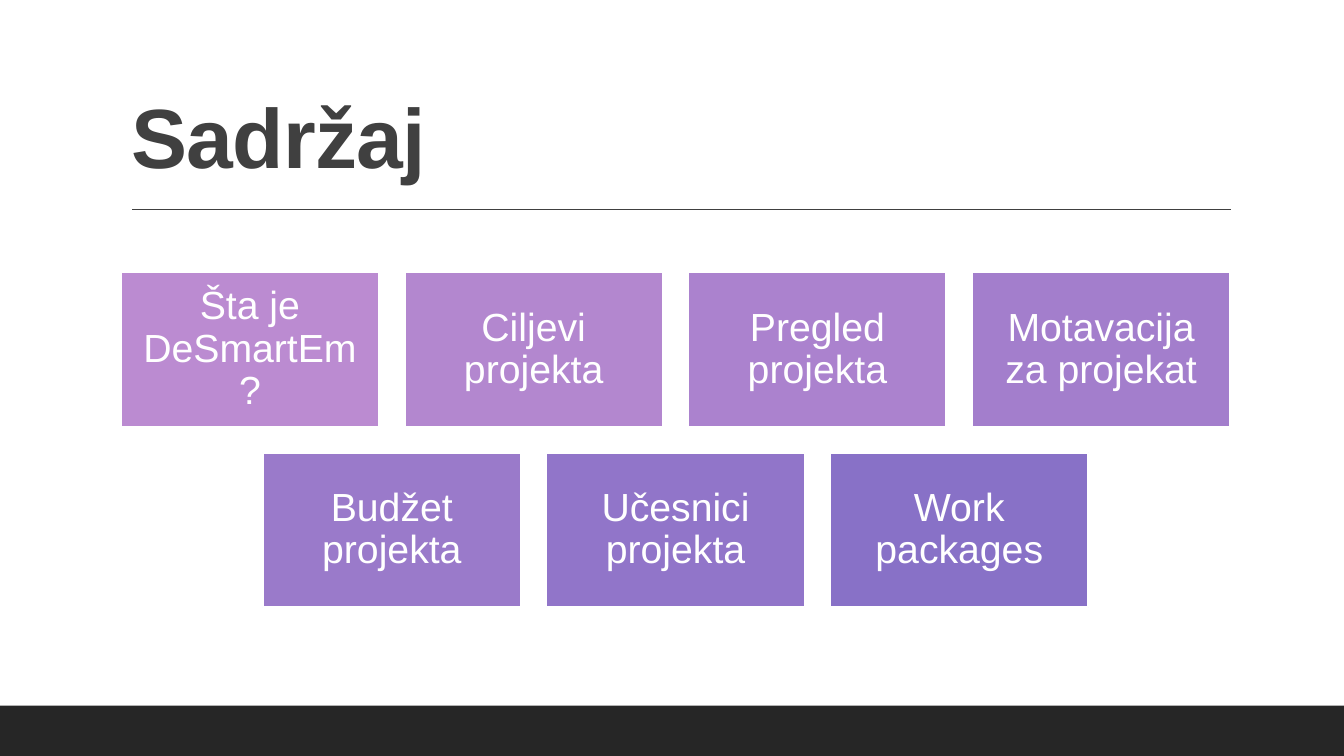
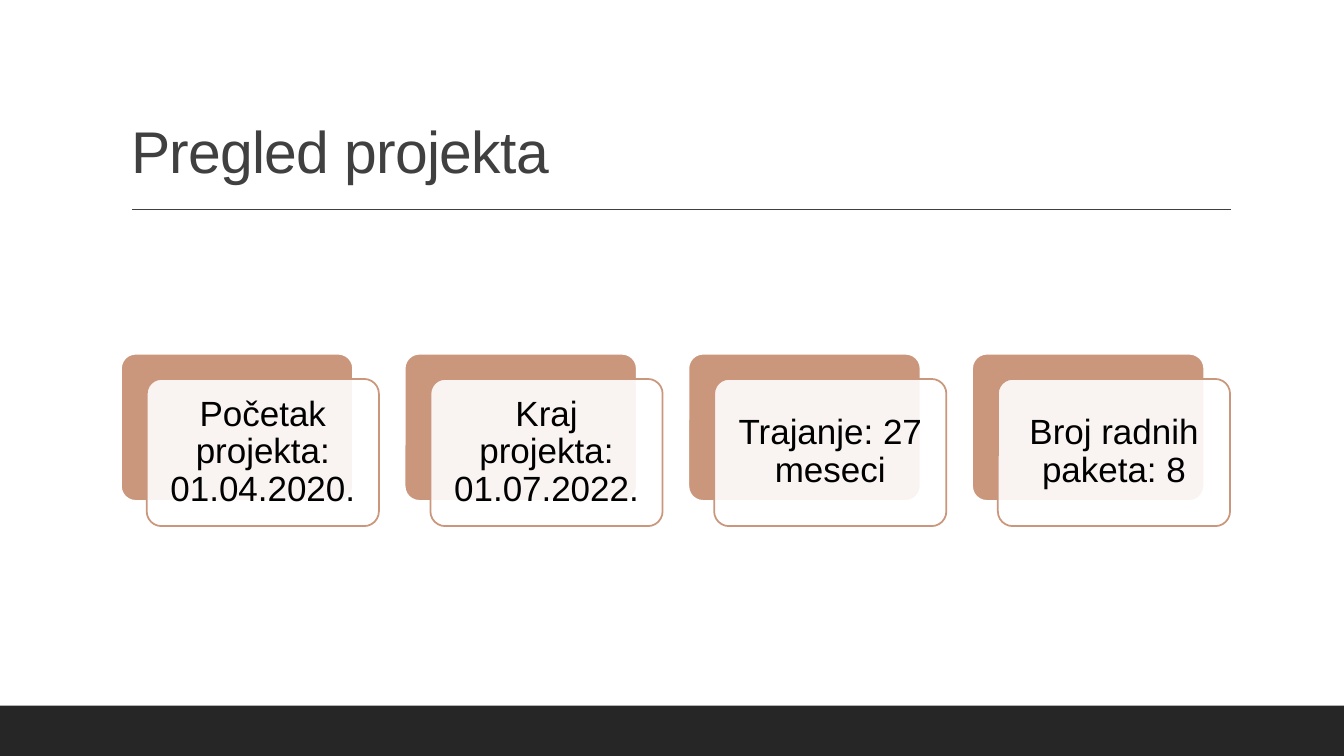
from dataclasses import dataclass

from lxml.etree import SubElement
from pptx import Presentation
from pptx.dml.color import RGBColor
from pptx.enum.shapes import MSO_CONNECTOR as Connector, MSO_SHAPE as Preset
from pptx.enum.text import MSO_ANCHOR as Anchor, PP_ALIGN as Align
from pptx.oxml.ns import qn
from pptx.util import Inches, Pt


@dataclass(frozen=True)
class Theme:
    font: str = "Arial"
    dark: str = "404040"
    band: str = "262626"
    white: str = "FFFFFF"
    black: str = "000000"
    clay: str = "CB977C"
    purples: tuple[str, ...] = (
        "BB8BD1", "B387CF", "AB82CE", "A37ECC", "9A7ACA", "9175C9", "8871C7",
    )
    agenda_title_size: int = 60
    title_size: int = 42
    tile_size: int = 28
    card_size: int = 25
    outline: float = 1.25


@dataclass(frozen=True)
class Box:
    left: float
    top: float
    width: float
    height: float

    def emu(self) -> tuple[int, ...]:
        return tuple(Inches(v) for v in (self.left, self.top, self.width, self.height))


@dataclass(frozen=True)
class Style:
    fill: str
    line: str | None = None
    preset: Preset = Preset.RECTANGLE
    opacity: int = 100


@dataclass(frozen=True)
class Label:
    text: str
    size: int
    color: str
    inset: float


THEME = Theme()
SLIDE_WIDTH, SLIDE_HEIGHT = 13.33, 7.5
TITLE_ONLY = 5

# Four columns fill the content width; gaps are a tenth of a column
CONTENT_LEFT, CONTENT_WIDTH = 1.2, 11
COLUMNS, GAP_SHARE = 4, 0.1
COLUMN_WIDTH = CONTENT_WIDTH / (COLUMNS + (COLUMNS - 1) * GAP_SHARE)
GAP = COLUMN_WIDTH * GAP_SHARE
PITCH = COLUMN_WIDTH + GAP

TILES_TOP, TILE_HEIGHT = 2.7, 0.6 * COLUMN_WIDTH
CARDS_TOP, CARD_WIDTH, CARD_HEIGHT, CARD_DROP = 3.51, COLUMN_WIDTH - GAP, 1.46, 0.25

AGENDA = (
    ("Šta je DeSmartEm?", "Ciljevi projekta", "Pregled projekta", "Motavacija za projekat"),
    ("Budžet projekta", "Učesnici projekta", "Work packages"),
)
FACTS = (
    "Početak projekta: 01.04.2020.",
    "Kraj projekta: 01.07.2022.",
    "Trajanje: 27 meseci",
    "Broj radnih paketa: 8",
)


def format_text(paragraph, size: int, color: str, align: Align, bold: bool = False) -> None:
    paragraph.alignment = align
    paragraph.line_spacing = 0.9
    for run in paragraph.runs:
        run.font.name = THEME.font
        run.font.size = Pt(size)
        run.font.bold = bold
        run.font.color.rgb = RGBColor.from_string(color)


def add_box(slide, box: Box, style: Style, label: Label | None = None):
    shape = slide.shapes.add_shape(style.preset, *box.emu())
    shape.shadow.inherit = False
    if style.preset == Preset.ROUNDED_RECTANGLE:
        shape.adjustments[0] = 0.1
    shape.fill.solid()
    shape.fill.fore_color.rgb = RGBColor.from_string(style.fill)
    if style.opacity < 100:
        color = shape.element.spPr.find(qn("a:solidFill"))[0]
        SubElement(color, qn("a:alpha")).set("val", str(style.opacity * 1000))
    if style.line:
        shape.line.color.rgb = RGBColor.from_string(style.line)
        shape.line.width = Pt(THEME.outline)
    else:
        shape.line.fill.background()
    if label:
        frame = shape.text_frame
        frame.word_wrap = True
        frame.vertical_anchor = Anchor.MIDDLE
        frame.margin_left = frame.margin_right = Inches(label.inset)
        frame.margin_top = frame.margin_bottom = Inches(label.inset)
        frame.text = label.text
        format_text(frame.paragraphs[0], label.size, label.color, Align.CENTER)
    return shape


def add_rule(slide):
    rule = slide.shapes.add_connector(
        Connector.STRAIGHT, Inches(1.31), Inches(2.08), Inches(12.21), Inches(2.08))
    rule.line.color.rgb = RGBColor.from_string(THEME.dark)
    rule.line.width = Pt(1)
    SubElement(rule.element.spPr, qn("a:effectLst"))
    return rule


def set_up_layout(layout, slide) -> None:
    """Place the title and move the band and rule from the slide to its layout."""
    title = next(p for p in layout.placeholders if p.placeholder_format.idx == 0)
    title.left, title.top, title.width, title.height = Box(
        CONTENT_LEFT, 0.31, CONTENT_WIDTH, 1.59).emu()
    title.text_frame.vertical_anchor = Anchor.BOTTOM
    band = add_box(slide, Box(0, 7, SLIDE_WIDTH, 0.5), Style(THEME.band))
    for part in (band, add_rule(slide)):
        layout.shapes.element.append(part.element)


def set_title(slide, text: str, size: int, bold: bool = False) -> None:
    paragraph = slide.shapes.title.text_frame.paragraphs[0]
    paragraph.text = text
    format_text(paragraph, size, THEME.dark, Align.LEFT, bold)
    for run in paragraph.runs:
        run.font._element.set("spc", "-50")


def build_agenda(slide) -> None:
    set_title(slide, "Sadržaj", THEME.agenda_title_size, bold=True)
    colors = iter(THEME.purples)
    for row, texts in enumerate(AGENDA):
        # Shorter rows are centred
        left = CONTENT_LEFT + (COLUMNS - len(texts)) * PITCH / 2
        top = TILES_TOP + row * (TILE_HEIGHT + GAP)
        for column, text in enumerate(texts):
            add_box(slide, Box(left + column * PITCH, top, COLUMN_WIDTH, TILE_HEIGHT),
                    Style(next(colors), THEME.white),
                    Label(text, THEME.tile_size, THEME.white, 0.12))


def build_overview(slide) -> None:
    set_title(slide, "Pregled projekta", THEME.title_size)
    back = Style(THEME.clay, THEME.white, Preset.ROUNDED_RECTANGLE)
    front = Style(THEME.white, THEME.clay, Preset.ROUNDED_RECTANGLE, opacity=90)
    for column, text in enumerate(FACTS):
        left = CONTENT_LEFT + column * PITCH
        add_box(slide, Box(left, CARDS_TOP, CARD_WIDTH, CARD_HEIGHT), back)
        add_box(slide, Box(left + GAP, CARDS_TOP + CARD_DROP, CARD_WIDTH, CARD_HEIGHT),
                front, Label(text, THEME.card_size, THEME.black, 0.1))


def main() -> None:
    presentation = Presentation()
    presentation.slide_width = Inches(SLIDE_WIDTH)
    presentation.slide_height = Inches(SLIDE_HEIGHT)
    layout = presentation.slide_layouts[TITLE_ONLY]
    agenda, overview = (presentation.slides.add_slide(layout) for _ in range(2))
    set_up_layout(layout, agenda)
    build_agenda(agenda)
    build_overview(overview)
    presentation.save("out.pptx")


if __name__ == "__main__":
    main()
